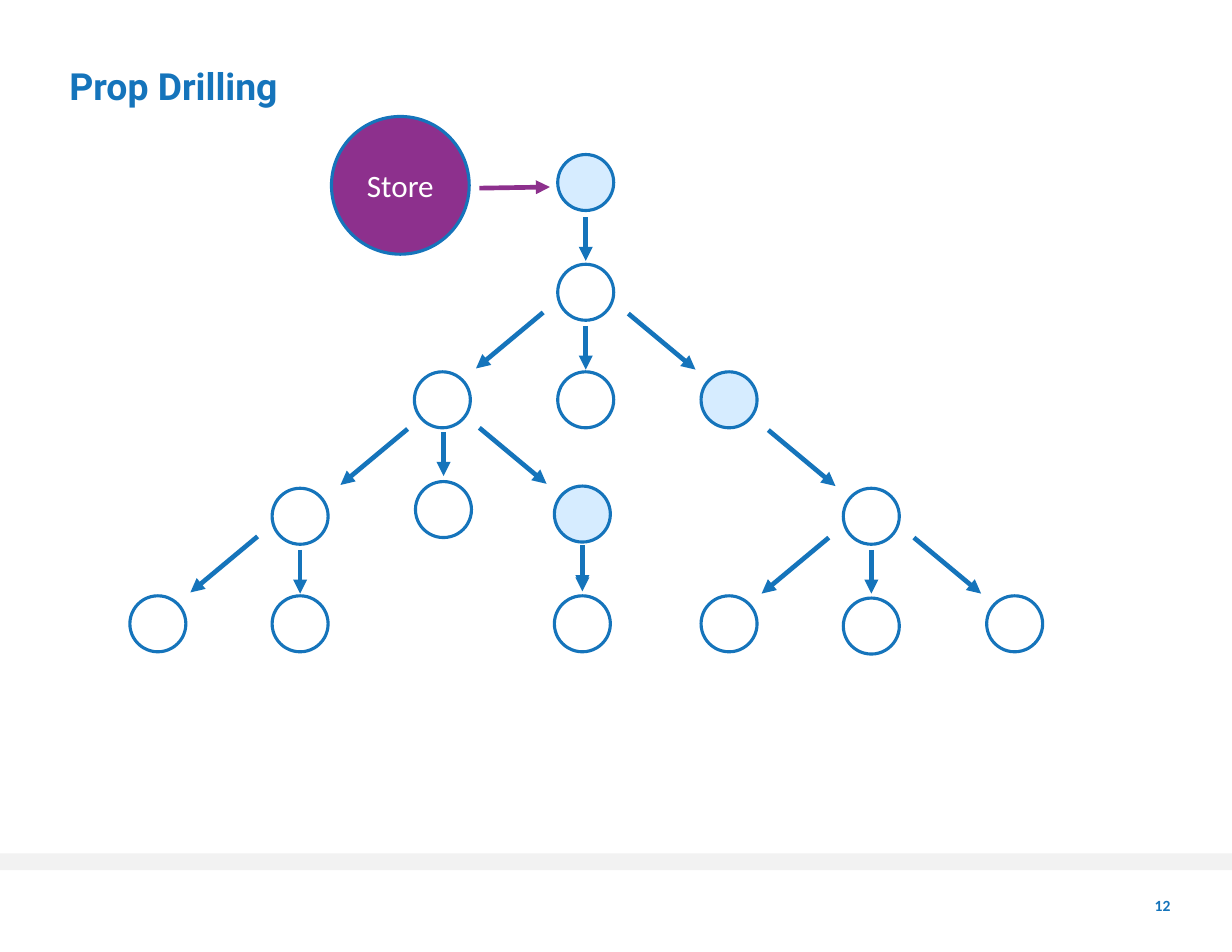
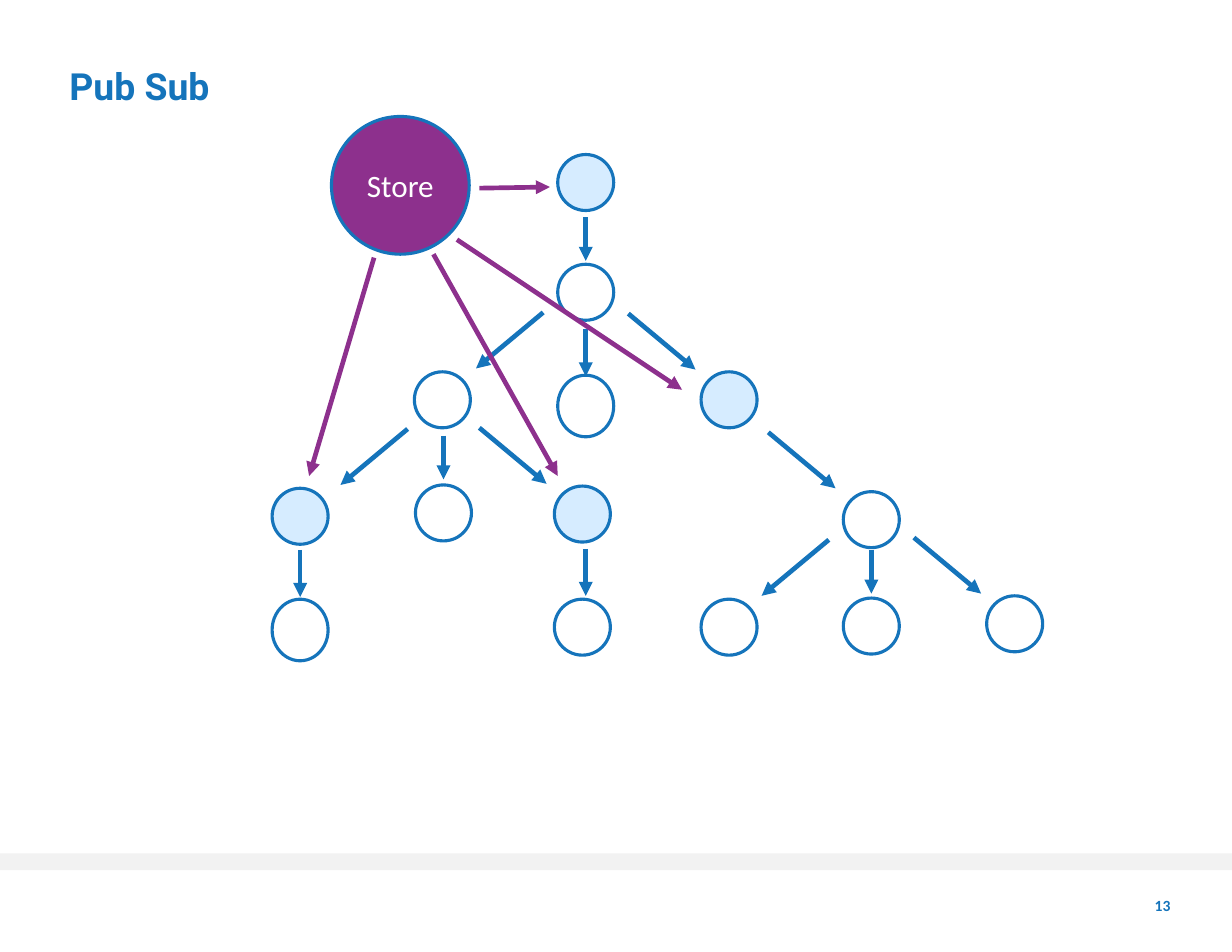
from lxml import etree
from pptx import Presentation
from pptx.dml.color import RGBColor
from pptx.enum.shapes import MSO_CONNECTOR as Connector, MSO_SHAPE as Shape
from pptx.enum.text import MSO_ANCHOR as Anchor, PP_ALIGN as Align
from pptx.oxml.ns import qn
from pptx.util import Inches, Pt

COLORS = {
    "blue": "1574BB",
    "light": "D6ECFF",
    "purple": "8D308D",
    "white": "FFFFFF",
    "band": "F2F2F2",
}

# Sizes in inches
NODE = 0.5
TALL_NODE = 0.55
STORE = (2.96, 1.04, 1.23, 1.23)

# Width and height covered by each kind of tree arrow
STEPS = {
    "down": (0, 0.39),
    "long down": (0, 0.42),
    "left": (-0.6, 0.5),
    "right": (0.6, 0.5),
}

# Nodes: left, top, fill, height
SHARED_NODES = [
    (4.98, 1.38, "light", NODE),
    (4.98, 2.36, "white", NODE),
    (3.7, 3.32, "white", NODE),
    (6.26, 3.32, "light", NODE),
    (4.95, 4.34, "light", NODE),
    (7.53, 5.34, "white", NODE),
    (8.81, 5.32, "white", NODE),
]

# Tree arrows: start x, start y, step
SHARED_ARROWS = [
    (5.23, 1.94, "down"),
    (4.85, 2.79, "left"),
    (5.61, 2.8, "right"),
    (3.64, 3.83, "left"),
    (4.28, 3.82, "right"),
    (7.78, 4.91, "down"),
    (8.16, 4.8, "right"),
]

# Links from the store to the first node: start, end
ROOT_LINK = ((4.28, 1.68), (4.91, 1.67))

SLIDES = [
    {
        "title": "Prop Drilling",
        "number": 12,
        "nodes": [
            (4.98, 3.32, "white", NODE),
            (2.43, 4.36, "white", NODE),
            (3.71, 4.3, "white", NODE),
            (7.53, 4.36, "white", NODE),
            (1.16, 5.32, "white", NODE),
            (2.43, 5.32, "white", NODE),
            (4.95, 5.32, "white", NODE),
            (6.26, 5.32, "white", NODE),
        ],
        "arrows": [
            (5.23, 2.91, "down"),
            (3.96, 3.86, "down"),
            (6.86, 3.84, "right"),
            (2.3, 4.79, "left"),
            (2.68, 4.91, "down"),
            (5.2, 4.87, "down"),
            (5.2, 4.89, "down"),
            (7.4, 4.8, "left"),
        ],
        "store links": [ROOT_LINK],
    },
    {
        "title": "Pub Sub",
        "number": 13,
        "nodes": [
            (4.98, 3.35, "white", TALL_NODE),
            (2.43, 4.36, "light", NODE),
            (3.71, 4.33, "white", NODE),
            (7.53, 4.39, "white", NODE),
            (2.43, 5.35, "white", TALL_NODE),
            (4.95, 5.35, "white", NODE),
            (6.26, 5.35, "white", NODE),
        ],
        "arrows": [
            (5.23, 2.94, "long down"),
            (3.96, 3.89, "down"),
            (6.86, 3.86, "right"),
            (2.68, 4.91, "long down"),
            (5.23, 4.9, "long down"),
            (7.4, 4.82, "left"),
        ],
        "store links": [
            ROOT_LINK,
            ((4.08, 2.14), (6.09, 3.48)),
            ((3.87, 2.27), (4.98, 4.25)),
            ((3.34, 2.3), (2.76, 4.25)),
        ],
    },
]

# Text styles
TITLE = {
    "font": {"name": "Roboto", "size": Pt(24), "bold": True},
    "color": "blue", "align": Align.LEFT, "anchor": Anchor.BOTTOM, "side": 0.11,
}
NUMBER = {
    "font": {"name": "Calibri", "size": Pt(10), "bold": True},
    "color": "blue", "align": Align.RIGHT, "anchor": Anchor.MIDDLE, "side": 0,
}
STORE_LABEL = {
    "font": {"name": "Calibri", "size": Pt(20), "bold": False},
    "color": "white", "align": Align.CENTER, "anchor": Anchor.MIDDLE, "side": 0.1,
}


def rgb(name):
    return RGBColor.from_string(COLORS[name])


def inches(values):
    return [Inches(value) for value in values]


def write(shape, text, style):
    frame = shape.text_frame
    layout = {
        "word_wrap": True,
        "vertical_anchor": style["anchor"],
        "margin_left": Inches(style["side"]),
        "margin_right": Inches(style["side"]),
        "margin_top": Inches(0.05),
        "margin_bottom": Inches(0.05),
    }
    for name, value in layout.items():
        setattr(frame, name, value)
    paragraph = frame.paragraphs[0]
    paragraph.alignment = style["align"]
    run = paragraph.add_run()
    run.text = text
    for name, value in style["font"].items():
        setattr(run.font, name, value)
    run.font.color.rgb = rgb(style["color"])


def add_text(slide, box, text, style):
    write(slide.shapes.add_textbox(*inches(box)), text, style)


def add_filled(slide, kind, box, fill, outline=None):
    shape = slide.shapes.add_shape(kind, *inches(box))
    shape.shadow.inherit = False
    shape.fill.solid()
    shape.fill.fore_color.rgb = rgb(fill)
    if outline:
        shape.line.color.rgb = rgb(outline)
        shape.line.width = Pt(2)
    else:
        shape.line.fill.background()
    return shape


def add_arrow(slide, start, end, color):
    arrow = slide.shapes.add_connector(Connector.STRAIGHT, *inches(start + end))
    arrow.line.color.rgb = rgb(color)
    arrow.line.width = Pt(3)
    line = arrow.line._get_or_add_ln()
    etree.SubElement(line, qn("a:tailEnd"), type="triangle")
    etree.SubElement(arrow._element.spPr, qn("a:effectLst"))


def add_frame(slide, title, number):
    add_filled(slide, Shape.RECTANGLE, (0, 7.62, 11, 0.15), "band")
    add_text(slide, (0.51, 0.38, 9.94, 0.63), title, TITLE)
    add_text(slide, (10.06, 7.99, 0.39, 0.19), str(number), NUMBER)


def add_tree(slide, content):
    # Component nodes
    for left, top, fill, height in SHARED_NODES + content["nodes"]:
        add_filled(slide, Shape.OVAL, (left, top, NODE, height), fill, "blue")

    # Arrows from parent to child
    for x, y, step in SHARED_ARROWS + content["arrows"]:
        across, down = STEPS[step]
        add_arrow(slide, (x, y), (x + across, y + down), "blue")

    # Store and its links
    store = add_filled(slide, Shape.OVAL, STORE, "purple", "blue")
    write(store, "Store", STORE_LABEL)
    for start, end in content["store links"]:
        add_arrow(slide, start, end, "purple")


def main():
    presentation = Presentation()
    presentation.slide_width = Inches(11)
    presentation.slide_height = Inches(8.5)
    blank = presentation.slide_layouts[6]
    for content in SLIDES:
        slide = presentation.slides.add_slide(blank)
        add_frame(slide, content["title"], content["number"])
        add_tree(slide, content)
    presentation.save("out.pptx")


if __name__ == "__main__":
    main()
